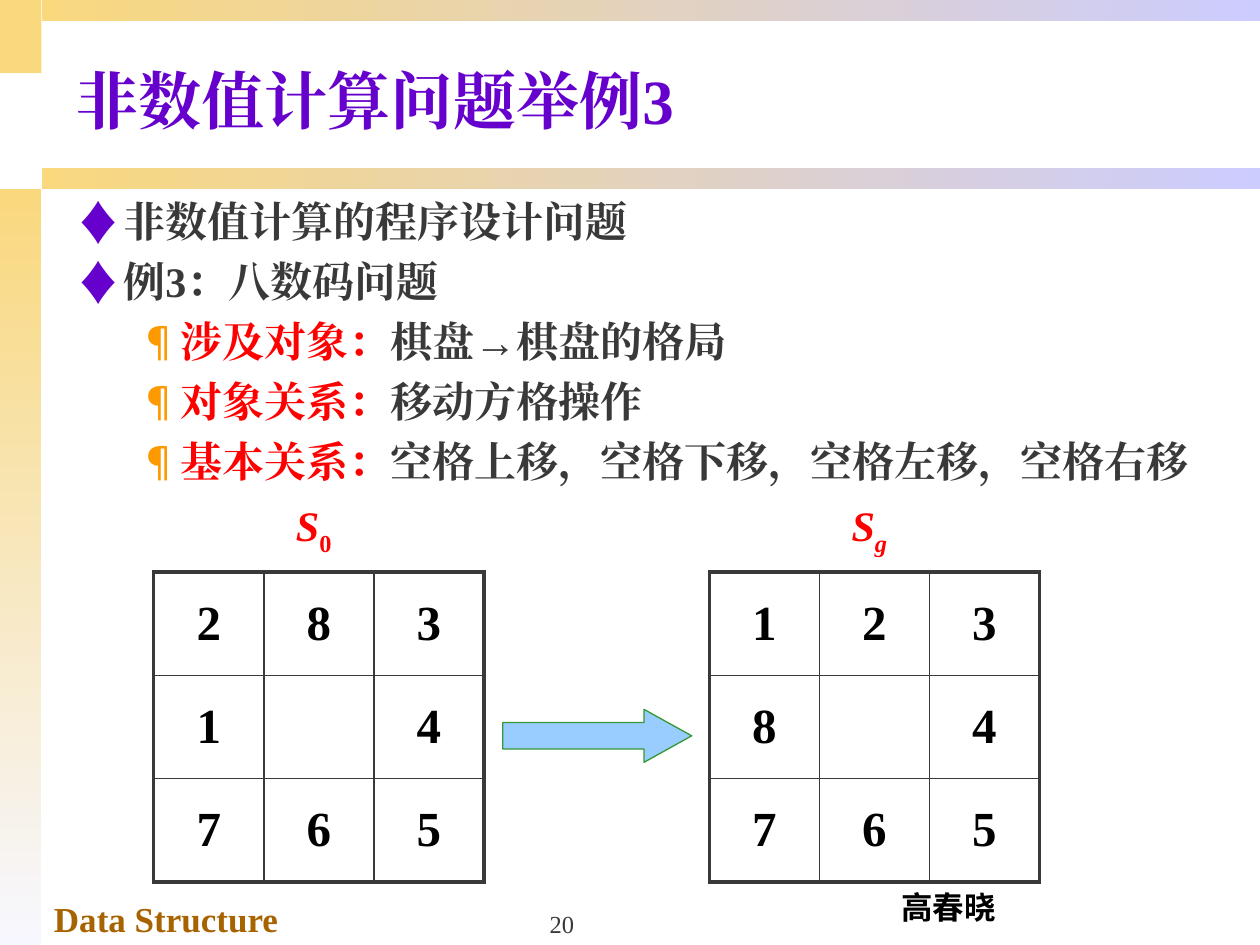
from lxml import etree
from pptx import Presentation
from pptx.dml.color import RGBColor
from pptx.enum.shapes import MSO_SHAPE
from pptx.enum.text import MSO_ANCHOR, PP_ALIGN
from pptx.oxml.ns import qn
from pptx.util import Inches, Pt

RECT, ARROW = MSO_SHAPE.RECTANGLE, MSO_SHAPE.RIGHT_ARROW
TOP, MID, LOW = MSO_ANCHOR.TOP, MSO_ANCHOR.MIDDLE, MSO_ANCHOR.BOTTOM
LEFT, MIDST = PP_ALIGN.LEFT, PP_ALIGN.CENTER
SERIF, SANS = "Times New Roman", "Noto Sans CJK SC"
DARK, RED, GOLD, PURPLE = "393939", "FF0000", "F9D87E", "6600CC"

BARS = [
    ((0, 0, 0.33, 0.58), GOLD, None),
    ((0, 1.5, 0.33, 6), "F7F7FF", 270),
    ((0.33, 1.33, 9.67, 0.17), "CCCCFF", 0),
    ((0.33, 0, 9.67, 0.17), "CCCCFF", 0),
]
LABELS = [
    ("Data Structure", (0.33, 7.07, 3.5, 0.43), 20, "A66300", True, SERIF, LEFT, TOP, True),
    ("高春晓", (7.05, 7, 0.96, 0.4), 18, "000000", True, SANS, MIDST, TOP, False),
    ("非数值计算问题举例3", (0.5, 0.25, 9.5, 1.07), 36, PURPLE, True, SERIF, LEFT, MID, True),
    ("20", (3.42, 7, 2.08, 0.5), 14, DARK, False, SERIF, MIDST, LOW, True),
]
POINTS = [
    (0, "", "非数值计算的程序设计问题"),
    (0, "", "例3：八数码问题"),
    (1, "涉及对象：", "棋盘→棋盘的格局"),
    (1, "对象关系：", "移动方格操作"),
    (1, "基本关系：", "空格上移，空格下移，空格左移，空格右移"),
]
LEVELS = [("♦", PURPLE, 110, 0.38, 0.38), ("¶", "FF9900", 100, 0.81, 0.31)]
BOARDS = [
    (1.22, 2.24, "0", False, ["283", "1 4", "765"]),
    (5.63, 6.65, "g", True, ["123", "8 4", "765"]),
]
SIDE, ROW = 2.62, 2.46


def rgb(code):
    return RGBColor.from_string(code)


def place(box):
    return [Inches(v) for v in box]


def style(run, size, color, bold=True, face=SERIF, slant=False):
    font = run.font
    font.size, font.bold, font.italic, font.name = Pt(size), bold, slant, face
    font.color.rgb = rgb(color)
    east = etree.SubElement(run._r.get_or_add_rPr(), qn("a:ea"))
    east.set("typeface", face)


def shape(kind, box):
    item = slide.shapes.add_shape(kind, *place(box))
    item.shadow.inherit = False
    return item


def label(text, box, size, color, bold, face, align, anchor, wrap):
    frame = slide.shapes.add_textbox(*place(box)).text_frame
    frame.word_wrap, frame.vertical_anchor = wrap, anchor
    para = frame.paragraphs[0]
    para.text, para.alignment = text, align
    style(para.runs[0], size, color, bold, face)


def bullet(para, mark, color, size, left, hang):
    props = para._p.get_or_add_pPr()
    props.set("marL", str(Inches(left)))
    props.set("indent", str(-Inches(hang)))
    tint = etree.SubElement(props, qn("a:buClr"))
    etree.SubElement(tint, qn("a:srgbClr")).set("val", color)
    etree.SubElement(props, qn("a:buSzPct")).set("val", str(size * 1000))
    etree.SubElement(props, qn("a:buFont")).set("typeface", SANS)
    etree.SubElement(props, qn("a:buChar")).set("char", mark)


def border(cell, row, col):
    props = cell._tc.get_or_add_tcPr()
    outer = {"L": col == 0, "R": col == 2, "T": row == 0, "B": row == 2}
    for edge, thick in outer.items():
        line = etree.SubElement(props, qn("a:ln" + edge))
        line.set("w", str(Pt(2.25 if thick else 1)))
        fill = etree.SubElement(line, qn("a:solidFill"))
        etree.SubElement(fill, qn("a:srgbClr")).set("val", DARK)


def board(left, rows):
    table = slide.shapes.add_table(3, 3, *place((left, 4.54, SIDE, ROW))).table
    table.first_row = table.horz_banding = False
    for r, row in enumerate(rows):
        for c, digit in enumerate(row):
            cell = table.cell(r, c)
            border(cell, r, c)
            cell.fill.background()
            cell.vertical_anchor = MID
            if digit != " ":
                para = cell.text_frame.paragraphs[0]
                para.text, para.alignment = digit, MIDST
                style(para.runs[0], 28, "000000")


def state(left, sub, slant):
    item = shape(RECT, (left, 4.07, 0.5, 0.25))
    item.fill.background()
    item.line.color.rgb, item.line.width = rgb("FFFFFF"), Pt(0.75)
    frame = item.text_frame
    frame.word_wrap, frame.vertical_anchor = False, MID
    para = frame.paragraphs[0]
    para.alignment = MIDST
    for text, tilt in (("S", True), (sub, slant)):
        run = para.add_run()
        run.text = text
        style(run, 24, RED, slant=tilt)
    run.font._element.set("baseline", "-25000")


deck = Presentation()
deck.slide_width, deck.slide_height = Inches(10), Inches(7.5)
slide = deck.slides.add_slide(deck.slide_layouts[6])

for box, color, angle in BARS:
    bar = shape(RECT, box)
    bar.line.fill.background()
    if angle is None:
        bar.fill.solid()
        bar.fill.fore_color.rgb = rgb(color)
    else:
        bar.fill.gradient()
        bar.fill.gradient_angle = angle
        for stop, shade in zip(bar.fill.gradient_stops, (GOLD, color)):
            stop.color.rgb = rgb(shade)

for item in LABELS:
    label(*item)

body = slide.shapes.add_textbox(*place((0.5, 1.5, 9.49, 5.42))).text_frame
body.word_wrap = True
for i, (level, lead, rest) in enumerate(POINTS):
    para = body.add_paragraph() if i else body.paragraphs[0]
    para.level = level
    bullet(para, *LEVELS[level])
    if i:
        para.space_before = Pt(5.5)
    for text, color in ((lead, RED), (rest, DARK)):
        if text:
            run = para.add_run()
            run.text = text
            style(run, 24, color)

for left, mark, sub, slant, rows in BOARDS:
    board(left, rows)
    state(mark, sub, slant)

arrow = shape(ARROW, (3.99, 5.63, 1.5, 0.42))
arrow.adjustments[0], arrow.adjustments[1] = 0.5, 0.9
arrow.fill.solid()
arrow.fill.fore_color.rgb = rgb("99CCFF")
arrow.line.color.rgb, arrow.line.width = rgb("339933"), Pt(0.75)

deck.save("out.pptx")
